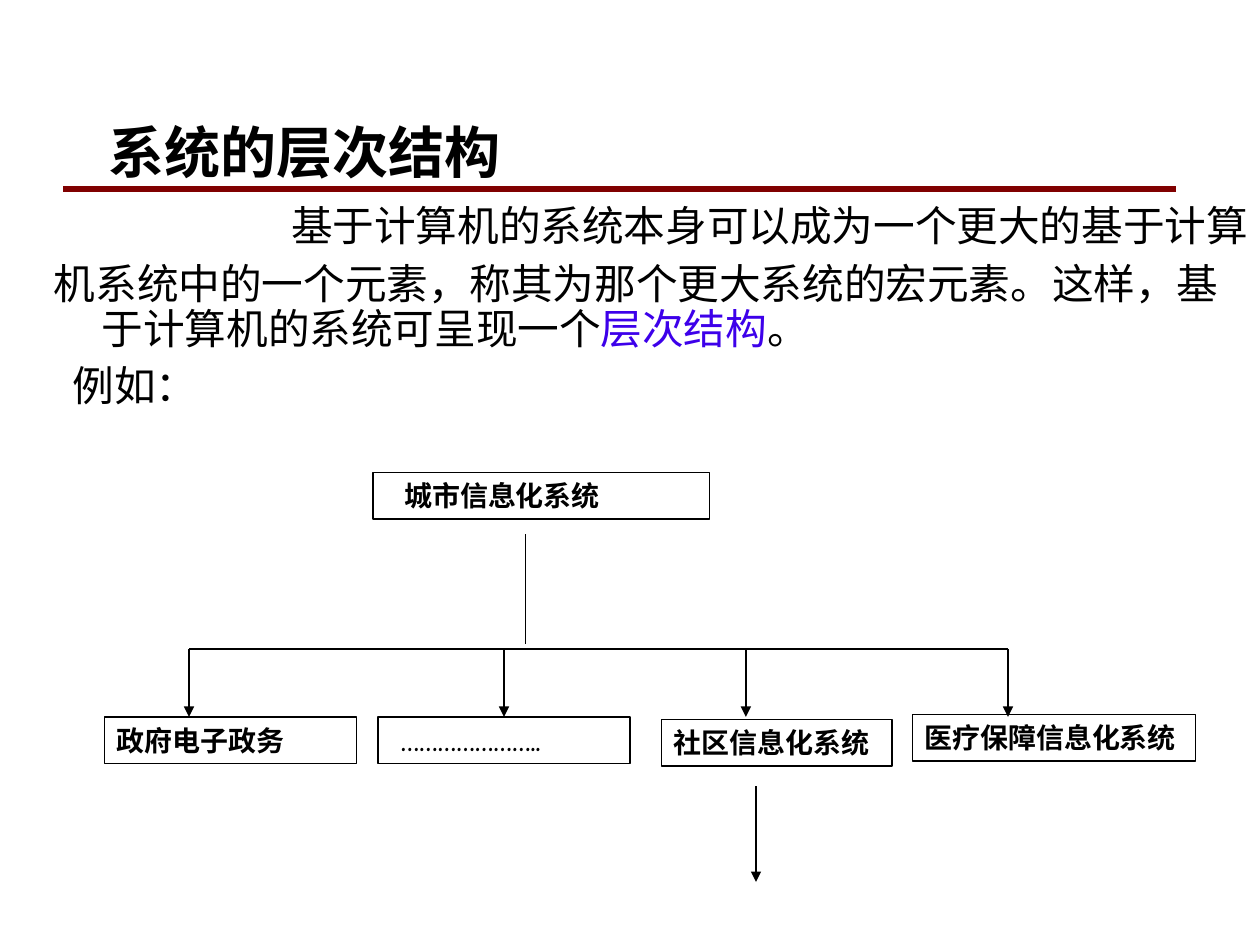
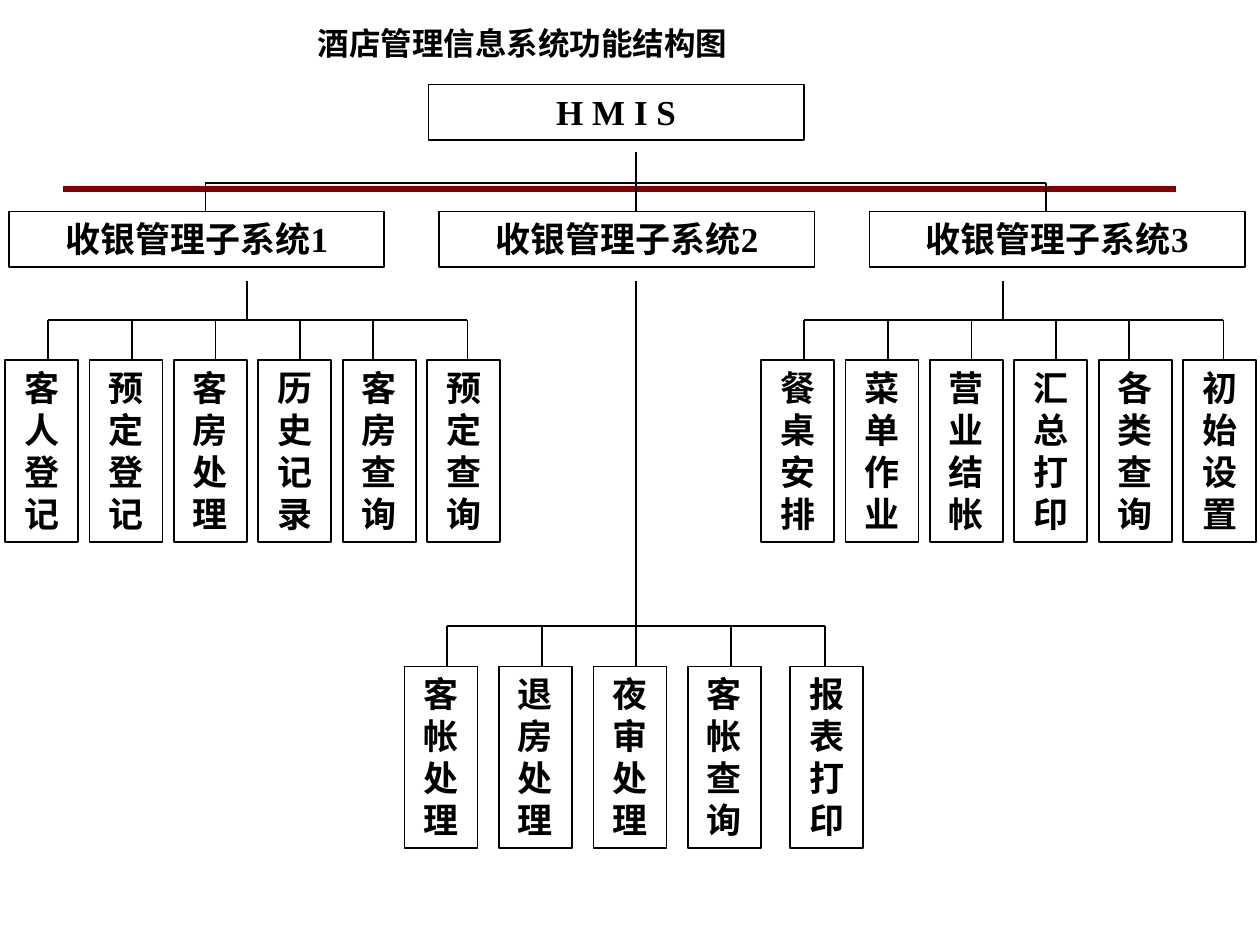
from lxml import etree
from pptx import Presentation
from pptx import util as u
from pptx.dml.color import RGBColor
from pptx.enum import shapes, text
from pptx.oxml.ns import qn

BLACK, MAROON, VIOLET = "000000", "800000", "3D00EA"
BODY_FONT, LABEL_FONT, CHART_FONT = "Calibri", "Comic Neue", "Times New Roman"
EAST_ASIAN_FONT = "Noto Sans CJK SC"
LEFT, CENTER, RIGHT = text.PP_ALIGN.LEFT, text.PP_ALIGN.CENTER, text.PP_ALIGN.RIGHT
LEAF_WIDTH, LEAF_HEIGHT, LEAF_CENTER = 0.58, 1.44, 0.34
DROP_HEIGHT = 0.32


def color(value):
    """Turn a hex string into a colour."""
    return RGBColor.from_string(value)


def write(paragraph, runs, size, font, bold=False, align=LEFT, line=1.2,
          before=0, margin=0, indent=0):
    """Fill a paragraph with (text, colour) runs in one format."""
    paragraph.alignment = align
    paragraph.line_spacing = u.Pt(round(size * line, 1))
    paragraph.space_before = u.Pt(before)
    properties = paragraph._p.get_or_add_pPr()
    properties.set("marL", str(u.Inches(margin)))
    properties.set("indent", str(u.Inches(indent)))
    etree.SubElement(properties, qn("a:buNone"))
    for content, run_color in runs:
        run = paragraph.add_run()
        run.text = content
        run.font.size = u.Pt(size)
        run.font.name = font
        run.font.bold = bold
        run.font.color.rgb = color(run_color)
        east_asian = etree.SubElement(run._r.get_or_add_rPr(), qn("a:ea"))
        east_asian.set("typeface", EAST_ASIAN_FONT)


def set_frame(shape, anchor=text.MSO_ANCHOR.TOP, inset=0.1):
    """Set the wrapping, anchor and insets of a shape's text."""
    frame = shape.text_frame
    frame.word_wrap = True
    frame.auto_size = text.MSO_AUTO_SIZE.NONE
    frame.vertical_anchor = anchor
    frame.margin_left, frame.margin_right = u.Inches(inset), u.Inches(0.1)
    frame.margin_top = frame.margin_bottom = u.Inches(0.05)
    return frame


def add_line(slide, start, end, width=1, line_color=BLACK, arrow=False):
    """Draw a straight line, with an arrowhead at its end if asked."""
    points = [u.Inches(value) for value in (*start, *end)]
    connector = slide.shapes.add_connector(shapes.MSO_CONNECTOR.STRAIGHT, *points)
    connector.line.width = u.Pt(width)
    connector.line.color.rgb = color(line_color)
    if arrow:
        head = etree.SubElement(connector.line._get_or_add_ln(), qn("a:tailEnd"))
        head.set("type", "triangle")
    etree.SubElement(connector._element.spPr, qn("a:effectLst"))
    return connector


def add_box(slide, box, label, size=20, font=CHART_FONT, align=CENTER, width=1,
            inset=0.1):
    """Draw an outlined box with a bold label."""
    shape = slide.shapes.add_shape(shapes.MSO_SHAPE.RECTANGLE, *map(u.Inches, box))
    shape.shadow.inherit = False
    shape.fill.background()
    shape.line.width = u.Pt(width)
    shape.line.color.rgb = color(BLACK)
    frame = set_frame(shape, inset=inset)
    write(frame.paragraphs[0], [(label, BLACK)], size, font, bold=True, align=align)


def add_title(slide, box, title, size, font):
    """Place and format the title placeholder."""
    shape = slide.shapes.title
    shape.left, shape.top, shape.width, shape.height = map(u.Inches, box)
    frame = set_frame(shape, text.MSO_ANCHOR.MIDDLE)
    write(frame.paragraphs[0], [(title, BLACK)], size, font, bold=True)


def add_title_rule(slide):
    """Put the rule under the title on the layout of the slide."""
    rule = add_line(slide, (0.5, 1.5), (9.33, 1.5), 3, MAROON)
    slide.slide_layout.shapes.element.append(rule._element)


def add_explanation(slide, box):
    """Write the text that explains the hierarchy."""
    frame = set_frame(slide.shapes.add_textbox(*map(u.Inches, box)))
    style = {"size": 23.8, "font": BODY_FONT, "line": 1.08}
    write(frame.paragraphs[0], [("基于计算机的系统本身可以成为一个更大的基于计算", BLACK)],
          align=RIGHT, **style)
    write(frame.add_paragraph(),
          [("机系统中的一个元素，称其为那个更大系统的宏元素。这样，基于计算机的系统可呈现一个", BLACK),
           ("层次结构", VIOLET), ("。", BLACK)],
          before=7, margin=0.38, indent=-0.38, **style)
    write(frame.add_paragraph(), [("例如：", BLACK)], before=7, margin=0.15, **style)


def add_city_tree(slide, left, top):
    """Draw the city system and the systems below it."""
    style = {"size": 16, "font": LABEL_FONT, "align": LEFT, "width": 0.75}
    height, bar = 0.37, top + 1.4
    add_box(slide, (left + 2.13, top, 2.67, height), "城市信息化系统", inset=0.25, **style)
    systems = [
        ("政府电子政务", 0, 1.94, 2, 0.67, 0.1),
        ("…………………..", 2.17, 1.94, 2, 3.17, 0.18),
        ("社区信息化系统", 4.42, 1.96, 1.83, 5.09, 0.1),
        ("医疗保障信息化系统", 6.41, 1.92, 2.25, 7.17, 0.1),
    ]
    for label, x, y, width, drop, inset in systems:
        add_box(slide, (left + x, top + y, width, height), label, inset=inset, **style)
        add_line(slide, (left + drop, bar), (left + drop, top + 1.94), 0.75, arrow=True)
    add_line(slide, (left + 3.34, top + 0.49), (left + 3.34, top + 1.36), 0.75)
    add_line(slide, (left + 0.67, bar), (left + 7.17, bar), 0.75)
    add_line(slide, (left + 5.17, top + 2.49), (left + 5.17, top + 3.25), 0.75, arrow=True)


def add_subsystems(slide, left, top):
    """Draw the hotel system and its three subsystems."""
    width, height, bar = 2.98, 0.44, top + 0.78
    add_box(slide, (left + 3.33, top, width, height), "H M I S")
    for index, drop in enumerate((1.56, 4.98, 8.23)):
        box = (left + index * 3.415, top + 1.01, width, height)
        add_box(slide, box, f"收银管理子系统{index + 1}")
        start = top + 0.54 if index == 1 else bar
        add_line(slide, (left + drop, start), (left + drop, top + 1.01))
    add_line(slide, (left + 1.56, bar), (left + 8.23, bar))


def add_functions(slide, left, top, labels, pitch, drops, trunk, nudge=0):
    """Draw a row of functions hung from the trunk of a subsystem."""
    bar, bar_left = top - DROP_HEIGHT, left + LEAF_CENTER
    for index, (label, drop) in enumerate(zip(labels, drops)):
        x = left + index * pitch + (nudge if index == len(labels) - 1 else 0)
        add_box(slide, (x, top, LEAF_WIDTH, LEAF_HEIGHT), label)
        add_line(slide, (bar_left + drop, bar), (bar_left + drop, top))
    add_line(slide, (bar_left, bar), (bar_left + drops[-1], bar))
    add_line(slide, (trunk, 2.23), (trunk, bar))


def build_hierarchy_slide(slide):
    """Build the slide on the hierarchy of systems."""
    add_title(slide, (0.76, 0.9, 8.57, 0.6), "系统的层次结构", 32, BODY_FONT)
    add_explanation(slide, (0.33, 1.58, 9.67, 2.25))
    add_city_tree(slide, 0.83, 3.75)


def build_hotel_slide(slide):
    """Build the slide with the function chart of the hotel system."""
    add_title(slide, (2.42, 0.14, 6.08, 0.4), "酒店管理信息系统功能结构图", 18, LABEL_FONT)
    add_subsystems(slide, 0.07, 0.67)
    six_drops = (0, 0.67, 1.33, 2, 2.58, 3.33)
    add_functions(slide, 0.04, 2.86,
                  ("客人登记", "预定登记", "客房处理", "历史记录", "客房查询", "预定查询"),
                  0.67, six_drops, 1.96)
    add_functions(slide, 6.04, 2.86,
                  ("餐桌安排", "菜单作业", "营业结帐", "汇总打印", "各类查询", "初始设置"),
                  0.67, six_drops, 7.96)
    add_functions(slide, 3.21, 5.29,
                  ("客帐处理", "退房处理", "夜审处理", "客帐查询", "报表打印"),
                  0.75, [index * 0.75 for index in range(5)], 5.05, nudge=0.06)


def main():
    """Build and save the presentation."""
    presentation = Presentation()
    presentation.slide_width, presentation.slide_height = u.Inches(10), u.Inches(7.5)
    layout = presentation.slide_layouts[5]
    builders = (build_hierarchy_slide, build_hotel_slide)
    slides = [presentation.slides.add_slide(layout) for _ in builders]
    add_title_rule(slides[0])
    for build, slide in zip(builders, slides):
        build(slide)
    presentation.save("out.pptx")


if __name__ == "__main__":
    main()
